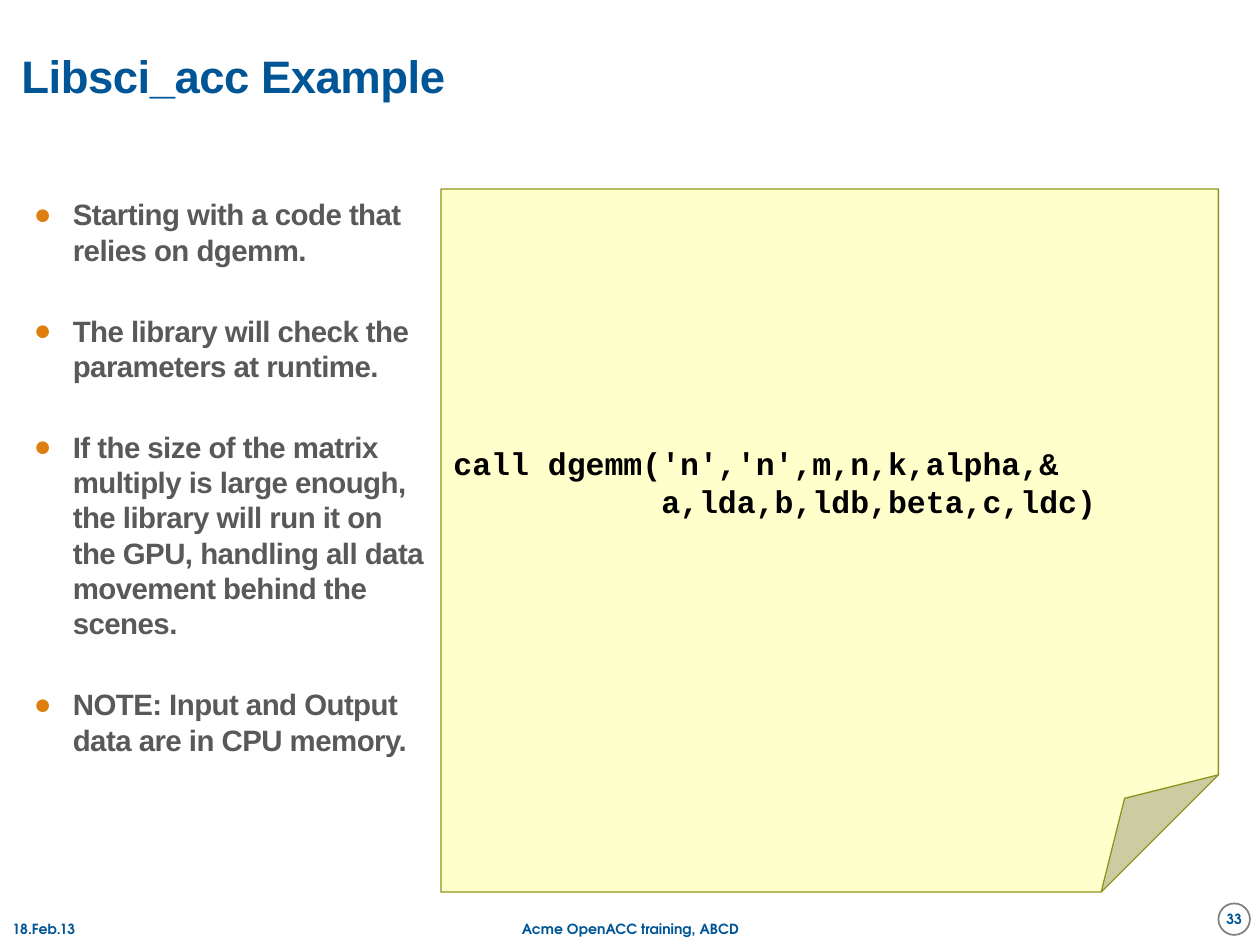
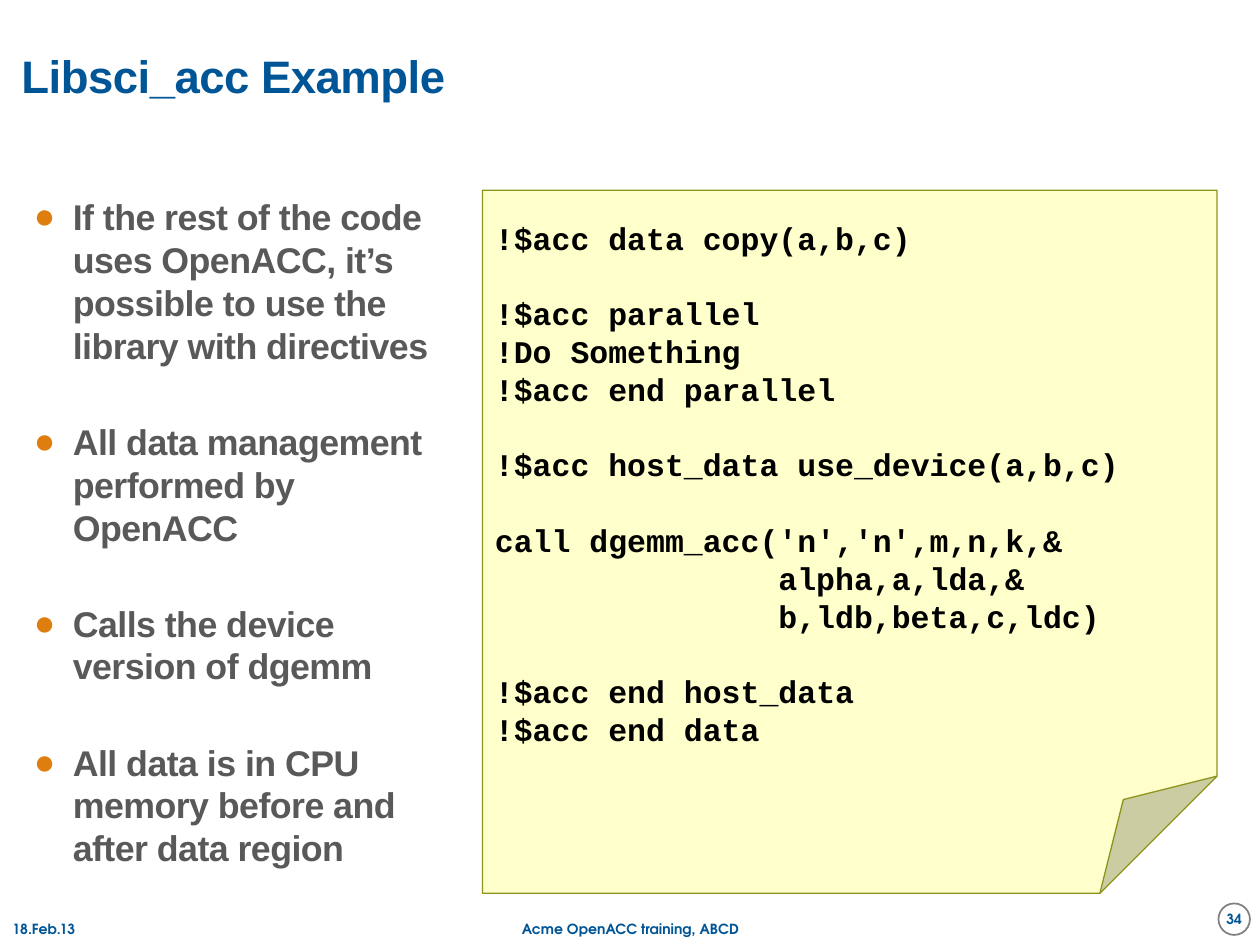
"""Build two slides on calling an accelerated matrix multiply library."""
from lxml.etree import SubElement
from pptx import Presentation
from pptx.dml.color import RGBColor
from pptx.enum.shapes import MSO_SHAPE as Shape
from pptx.enum.text import MSO_ANCHOR as Anchor, PP_ALIGN as Align
from pptx.oxml.ns import qn
from pptx.util import Inches, Pt

COLORS = {
    "brand": "005596", "body": "595959", "bullet": "DD7E0E", "code": "000000",
    "note": "FFFFCC", "note_line": "8D941E", "badge": "FFFFFF", "badge_line": "808080",
}
LINE_HEIGHT = 1.2
CODE_SIZE = 18
CODE_CHAR = 0.15
BULLET_INDENT = 0.31

SLIDES = [
    {
        "number": 33,
        "bullet_box": (0.17, 1.51, 3.33, 5.86),
        "bullet_size": 16.8,
        "bullets": [
            "Starting with a code that relies on dgemm.",
            "The library will check the parameters at runtime.",
            "If the size of the matrix multiply is large enough, the library will run it "
            "on the GPU, handling all data movement behind the scenes.",
            "NOTE: Input and Output data are in CPU memory.",
        ],
        "note_box": (3.5, 1.5, 6.17, 5.58),
        "code": [[(0, "call dgemm('n','n',m,n,k,alpha,&"), (11, "a,lda,b,ldb,beta,c,ldc)")]],
    },
    {
        "number": 34,
        "bullet_box": (0.17, 1.5, 3.33, 5.67),
        "bullet_size": 20.4,
        "bullets": [
            "If the rest of the code uses OpenACC, it’s possible to use the library "
            "with directives",
            "All data management performed by OpenACC",
            "Calls the device version of dgemm",
            "All data is in CPU memory before and after data region",
        ],
        "note_box": (3.83, 1.51, 5.83, 5.58),
        "code": [
            [(0, "!$acc data copy(a,b,c)")],
            [(0, "!$acc parallel"), (0, "!Do Something"), (0, "!$acc end parallel")],
            [(0, "!$acc host_data use_device(a,b,c)")],
            [(0, "call dgemm_acc('n','n',m,n,k,&"), (15, "alpha,a,lda,&"),
             (15, "b,ldb,beta,c,ldc)")],
            [(0, "!$acc end host_data"), (0, "!$acc end data")],
        ],
    },
]


class Deck:
    """Hold the shared style and the current slide."""

    def __init__(self):
        self.presentation = Presentation()
        self.presentation.slide_width = Inches(10)
        self.presentation.slide_height = Inches(7.5)
        self.page = None

    def add_page(self):
        self.page = self.presentation.slides.add_slide(self.presentation.slide_layouts[6])

    def frame(self, box, anchor=Anchor.MIDDLE, inset=True):
        frame = box.text_frame
        frame.word_wrap = True
        frame.vertical_anchor = anchor
        if not inset:
            frame.margin_left = frame.margin_top = frame.margin_right = frame.margin_bottom = 0
        return frame

    def text_box(self, place, anchor=Anchor.MIDDLE, inset=True):
        box = self.page.shapes.add_textbox(*map(Inches, place))
        return self.frame(box, anchor, inset)

    def shape(self, kind, place, fill, line, width, inset=True):
        shape = self.page.shapes.add_shape(kind, *map(Inches, place))
        shape.shadow.inherit = False
        shape.fill.solid()
        shape.fill.fore_color.rgb = RGBColor.from_string(COLORS[fill])
        shape.line.color.rgb = RGBColor.from_string(COLORS[line])
        shape.line.width = Pt(width)
        return self.frame(shape, inset=inset)

    def set_text(self, para, text, font, size, color, align=Align.LEFT, tight=False):
        para.text = text
        para.alignment = align
        for span in para.runs:
            span.font.name = font
            span.font.size = Pt(size)
            span.font.bold = True
            span.font.color.rgb = RGBColor.from_string(COLORS[color])
            if tight:
                span._r.get_or_add_rPr().set("spc", "-30")

    def paragraphs(self, frame, count):
        for _ in range(count - 1):
            frame.add_paragraph()
        return frame.paragraphs

    def indent(self, para, left, first=0):
        properties = para._p.get_or_add_pPr()
        properties.set("marL", str(Inches(left)))
        properties.set("indent", str(Inches(first)))
        return properties

    def title(self, text):
        para = self.text_box((0.17, 0.17, 8, 0.92), inset=False).paragraphs[0]
        self.set_text(para, text, "Arial", 26, "brand", tight=True)
        para.line_spacing = 0.85

    def bullets(self, place, items, size):
        frame = self.text_box(place, Anchor.TOP)
        for para, item in zip(self.paragraphs(frame, len(items)), items):
            self.set_text(para, item, "Arial", size, "body", tight=True)
            para.line_spacing = Pt(LINE_HEIGHT * size)
            para.space_before = Pt(1.5)
            para.space_after = Pt(LINE_HEIGHT * size + 4.5)
            properties = self.indent(para, BULLET_INDENT, -BULLET_INDENT)
            color = SubElement(properties, qn("a:buClr"))
            SubElement(color, qn("a:srgbClr"), val=COLORS["bullet"])
            SubElement(properties, qn("a:buFont"), typeface="Arial")
            SubElement(properties, qn("a:buChar"), char="●")

    def code_note(self, place, blocks):
        frame = self.shape(Shape.FOLDED_CORNER, place, "note", "note_line", 0.75)
        lines = [(block and not row, columns, text)
                 for block, rows in enumerate(blocks)
                 for row, (columns, text) in enumerate(rows)]
        height = Pt(LINE_HEIGHT * CODE_SIZE)
        for para, (gap, columns, text) in zip(self.paragraphs(frame, len(lines)), lines):
            self.set_text(para, text, "Courier New", CODE_SIZE, "code")
            para.line_spacing = height
            para.space_before = height if gap else Pt(0)
            self.indent(para, columns * CODE_CHAR)

    def small_text(self, frame, text, align=Align.LEFT):
        self.set_text(frame.paragraphs[0], text, "TeX Gyre Adventor", 8, "brand", align)

    def footer(self, number):
        badge = self.shape(Shape.OVAL, (9.67, 7.17, 0.25, 0.25), "badge", "badge_line", 1,
                           inset=False)
        self.small_text(badge, str(number), Align.CENTER)
        self.small_text(self.text_box((0, 7.25, 2.33, 0.25)), "18.Feb.13")
        self.small_text(self.text_box((3.42, 7.25, 3.17, 0.25)),
                        "Acme OpenACC training, ABCD", Align.CENTER)


def main():
    """Build every slide and save the file."""
    deck = Deck()
    for content in SLIDES:
        deck.add_page()
        deck.title("Libsci_acc Example")
        deck.bullets(content["bullet_box"], content["bullets"], content["bullet_size"])
        deck.code_note(content["note_box"], content["code"])
        deck.footer(content["number"])
    deck.presentation.save("out.pptx")


if __name__ == "__main__":
    main()
